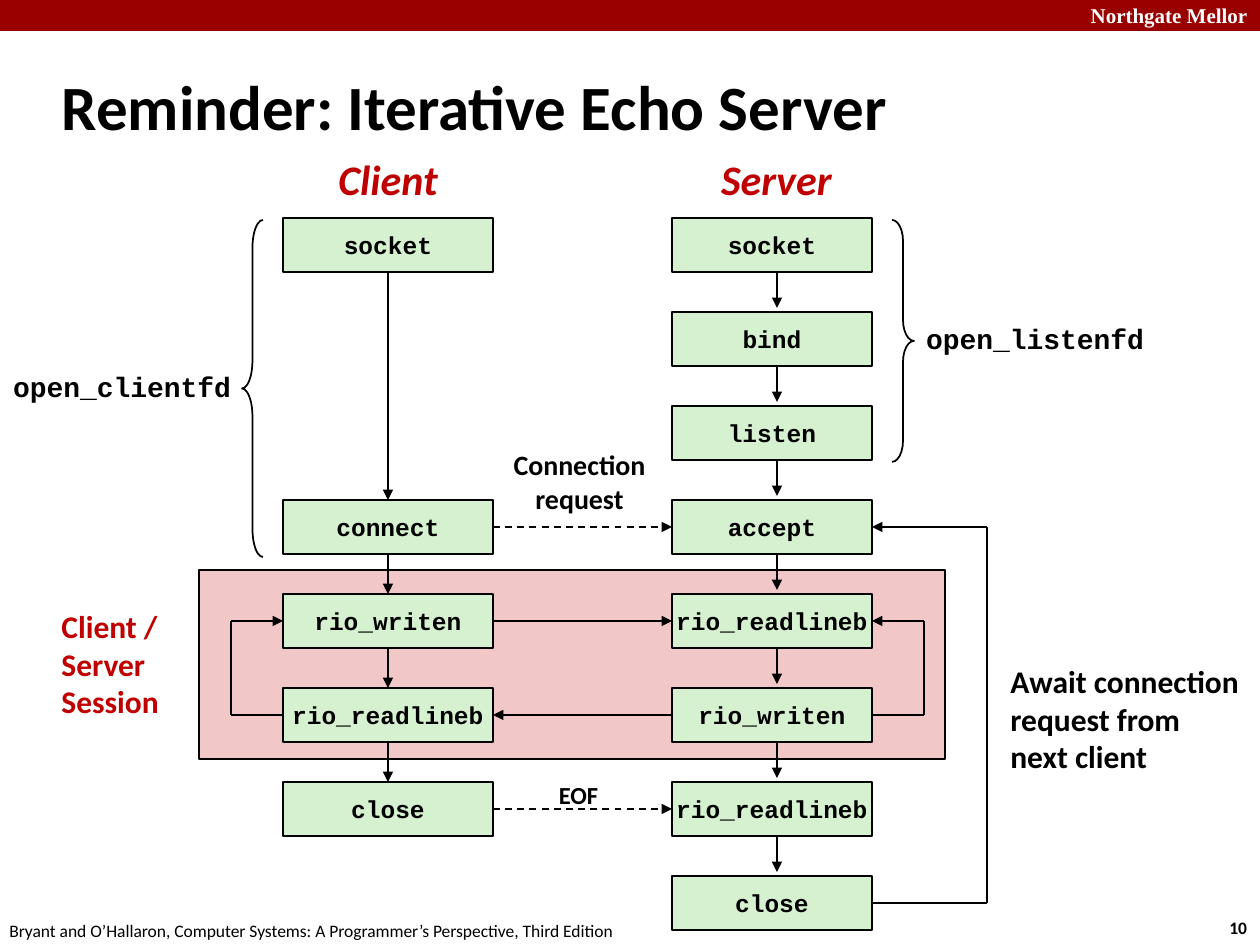
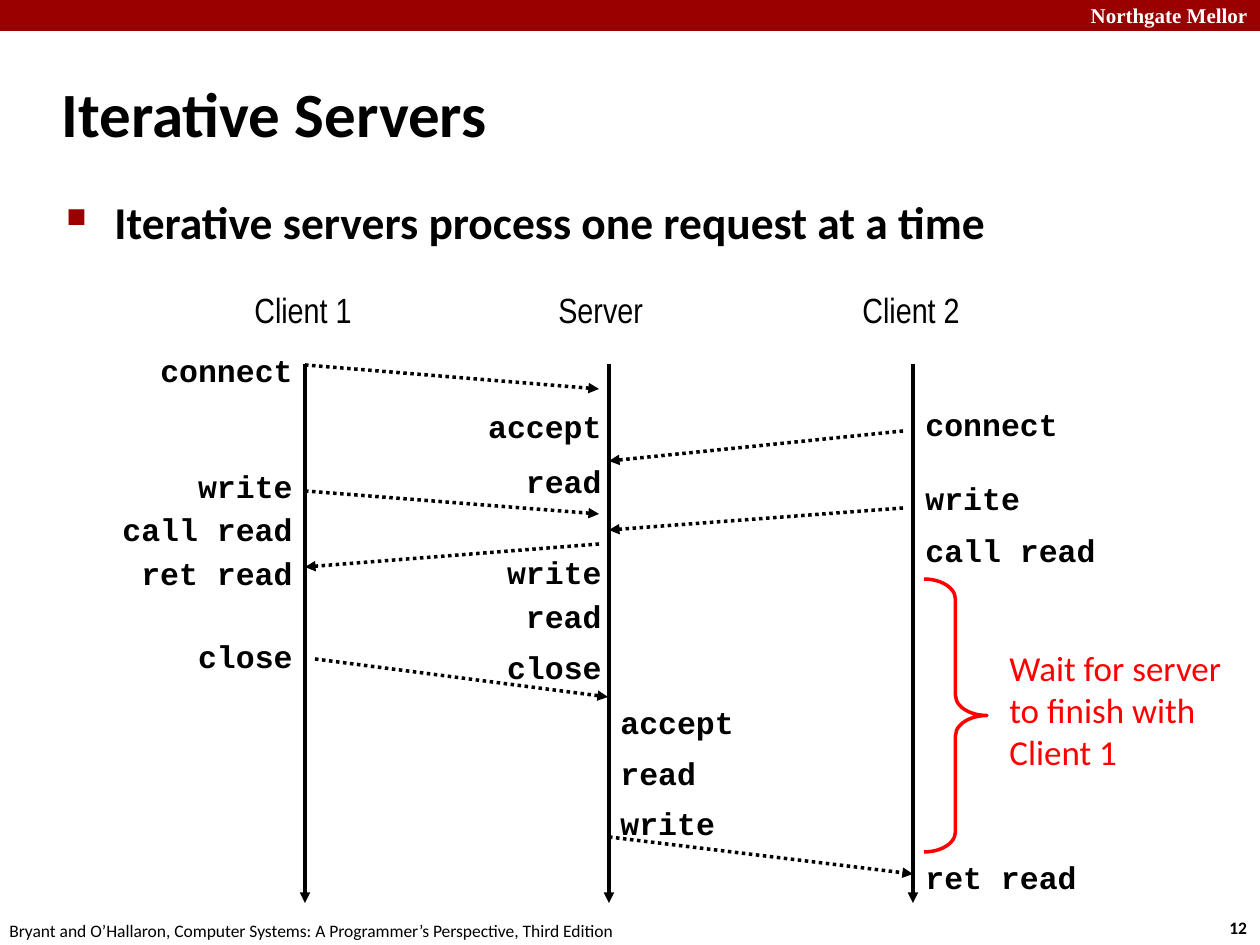
from lxml import etree
from pptx import Presentation
from pptx import util as u
from pptx.dml.color import RGBColor
from pptx.enum import dml, shapes, text
from pptx.oxml.ns import qn

SCALE = u.Inches(1) / 126
BLACK, WHITE, BAND, RED = "000000", "FFFFFF", "990000", "C00000"
GREEN, PINK, BRIGHT_RED = "D5F1CF", "F1C7C7", "FF0000"
SANS, MONO, SERIF, NARROW = "Calibri", "Courier New", "Times New Roman", "Arial Narrow"
LEFT, CENTER, RIGHT = text.PP_ALIGN.LEFT, text.PP_ALIGN.CENTER, text.PP_ALIGN.RIGHT
TOP, MIDDLE = text.MSO_ANCHOR.TOP, text.MSO_ANCHOR.MIDDLE
DASH, DOTS = dml.MSO_LINE.DASH, dml.MSO_LINE.ROUND_DOT
color = RGBColor.from_string


def add_box(page, at, lines=(), size=14, font=SANS, ink=BLACK, bold=True, italic=False,
            align=LEFT, anchor=TOP, wrap=False, kind=None, fill=None, line=None, width=1):
    """Adds a preset shape, a text box, or (page is a placeholder) formats the title."""
    place = [round(value * SCALE) for value in at]
    if not hasattr(page, "shapes"):
        box = page
        box.left, box.top, box.width, box.height = place
    elif kind is None:
        box = page.shapes.add_textbox(*place)
    else:
        box = page.shapes.add_shape(kind, *place)
        box.shadow.inherit = False
        if fill:
            box.fill.solid()
            box.fill.fore_color.rgb = color(fill)
        else:
            box.fill.background()
        if line:
            box.line.color.rgb = color(line)
            box.line.width = u.Pt(width)
        else:
            box.line.fill.background()
    frame = box.text_frame
    frame.auto_size = text.MSO_AUTO_SIZE.NONE
    frame.word_wrap = wrap
    frame.vertical_anchor = anchor
    for number, words in enumerate(lines):
        para = frame.add_paragraph() if number else frame.paragraphs[0]
        para.alignment = align
        span = para.add_run()
        span.text = words
        span.font.name, span.font.size = font, u.Pt(size)
        span.font.bold, span.font.italic = bold, italic
        span.font.color.rgb = color(ink)
    return box


def add_line(page, begin, end, width=1, dash=None, arrow=True):
    ends = [round(value * SCALE) for value in (*begin, *end)]
    line = page.shapes.add_connector(shapes.MSO_CONNECTOR.STRAIGHT, *ends)
    line.line.color.rgb = color(BLACK)
    line.line.width = u.Pt(width)
    if dash:
        line.line.dash_style = dash
    properties = line._element.spPr
    if arrow:
        etree.SubElement(properties.find(qn("a:ln")), qn("a:tailEnd"), type="triangle")
    etree.SubElement(properties, qn("a:effectLst"))
    return line


deck = Presentation()
deck.slide_width, deck.slide_height = u.Inches(10), u.Inches(7.5)
RECT = shapes.MSO_SHAPE.RECTANGLE

# Shared band, header, footer, number and title
pages = []
for title, title_top, number in (("Reminder: Iterative Echo Server", 53, "10"),
                                 ("Iterative Servers", 60, "12")):
    page = deck.slides.add_slide(deck.slide_layouts[5])
    add_box(page, (0, 0, 1260, 31), kind=RECT, fill=BAND)
    add_box(page, (1070, -4, 190, 38), ["Northgate Mellor"], 12, SERIF, WHITE, align=RIGHT)
    add_box(page, (1217, 911, 47, 34), [number], 10)
    add_box(page, (-3, 914, 640, 34),
            ["Bryant and O’Hallaron, Computer Systems: A Programmer’s Perspective, "
             "Third Edition"], 10, bold=False)
    add_box(page.shapes.title, (49, title_top, 1046, 105), [title], 36,
            anchor=MIDDLE, wrap=True)
    pages.append(page)
echo, timeline = pages

# Echo server: session area and column headings
add_box(echo, (199, 570, 746, 189), kind=RECT, fill=PINK, line=BLACK)
add_box(echo, (49, 600, 130, 127), ["Client / Server", "Session"], 18, ink=RED,
        anchor=MIDDLE, wrap=True)
for heading, left, width in (("Client", 325, 126), ("Server", 708, 137)):
    add_box(echo, (left, 147, width, 63), [heading], 24, ink=RED, italic=True,
            align=CENTER, anchor=MIDDLE)

# Call boxes on a grid of eight rows
FIRST_ROW, ROW_STEP, BOX_HEIGHT = 218, 94, 54
tops = [FIRST_ROW + ROW_STEP * row for row in range(8)]
middles = [top + BOX_HEIGHT // 2 for top in tops]
client_calls = {0: "socket", 3: "connect", 4: "rio_writen", 5: "rio_readlineb", 6: "close"}
server_calls = dict(enumerate(["socket", "bind", "listen", "accept", "rio_readlineb",
                               "rio_writen", "rio_readlineb", "close"]))
columns = []
for calls, left, width in ((client_calls, 283, 210), (server_calls, 672, 200)):
    columns.append({row: add_box(echo, (left, tops[row], width, BOX_HEIGHT), [call], 14, MONO,
                                 align=CENTER, anchor=MIDDLE, kind=RECT, fill=GREEN, line=BLACK)
                    for row, call in calls.items()})
client, server = columns

# Joined arrows: down the client column, then between the columns
client_rows = list(client)
links = [(client[upper], 2, client[lower], 0, None)
         for upper, lower in zip(client_rows, client_rows[1:])]
links += [(client[3], 3, server[3], 1, DASH), (client[4], 3, server[4], 1, None),
          (server[5], 1, client[5], 3, None), (client[6], 3, server[6], 1, DASH)]
for source, source_side, target, target_side, dash in links:
    line = add_line(echo, (0, 0), (0, 0), dash=dash)
    line.begin_connect(source, source_side)
    line.end_connect(target, target_side)

# Arrows down the server column, right of the box centres
for row in range(7):
    add_line(echo, (777, tops[row] + BOX_HEIGHT), (777, tops[row + 1] - 4))

# Return loops from a lower box to a higher one
for calls, lower, upper, edge, side, turn in ((server, 5, 4, 872, 3, 924),
                                              (client, 5, 4, 283, 1, 231),
                                              (server, 7, 3, 872, 3, 987)):
    start = add_line(echo, (edge, middles[lower]), (turn, middles[lower]), arrow=False)
    start.begin_connect(calls[lower], side)
    add_line(echo, (turn, middles[lower]), (turn, middles[upper]), arrow=False)
    finish = add_line(echo, (turn, middles[upper]), (edge, middles[upper]))
    finish.end_connect(calls[upper], side)

# Braces and notes
for kind, at, bend in ((shapes.MSO_SHAPE.RIGHT_BRACE, (892, 220, 22, 242), 0.96),
                       (shapes.MSO_SHAPE.LEFT_BRACE, (242, 220, 21, 337), 1.33)):
    brace = add_box(echo, at, kind=kind, line=BLACK)
    brace.adjustments[0] = bend
for lines, at, size, font, align in (
        (["open_listenfd"], (913, 315, 244, 47), 16, MONO, CENTER),
        (["open_clientfd"], (0, 363, 244, 47), 16, MONO, CENTER),
        (["Connection", "request"], (500, 441, 159, 81), 16, SANS, CENTER),
        (["EOF"], (546, 773, 65, 43), 14, SANS, CENTER),
        (["Await connection", "request from", "next client"],
         (998, 655, 256, 127), 18, SANS, LEFT)):
    add_box(echo, at, lines, size, font, align=align, anchor=MIDDLE)

# Iterative servers: bullet
body = add_box(timeline, (54, 188, 1089, 685),
               ["Iterative servers process one request at a time"], 26, wrap=True)
para = body.text_frame.paragraphs[0]
para.space_before = u.Pt(5)
bullet = para._p.get_or_add_pPr()
bullet.set("marL", str(round(48 * SCALE)))
bullet.set("indent", str(round(-48 * SCALE)))
bullet_color = etree.SubElement(bullet, qn("a:buClr"))
etree.SubElement(bullet_color, qn("a:srgbClr"), val=BAND)
etree.SubElement(bullet, qn("a:buSzPct"), val="60000")
etree.SubElement(bullet, qn("a:buChar"), char="■")

# Lifelines, with names spaced like them
for index, name in enumerate(("Client 1", "Server", "Client 2")):
    offset = 304 * index
    add_box(timeline, (242 + offset, 282, 124, 55), [name], 20, NARROW, bold=False)
    add_line(timeline, (305 + offset, 364), (305 + offset, 903), width=2)

# Messages
for begin, end in (((305, 365), (599, 389)), ((903, 431), (609, 461)),
                   ((305, 491), (599, 514)), ((903, 508), (609, 530)),
                   ((599, 544), (305, 567)), ((315, 659), (608, 697)),
                   ((609, 837), (913, 874))):
    add_line(timeline, begin, end, width=2, dash=DOTS)

# Calls beside the lifelines: edge of the text box, side it hangs from, tops
for edge, align, calls in (
        (305, RIGHT, {345: "connect", 461: "write", 504: "call read",
                      548: "ret read", 631: "close"}),
        (614, RIGHT, {401: "accept", 456: "read", 547: "write", 591: "read", 642: "close"}),
        (608, LEFT, {697: "accept", 748: "read", 798: "write"}),
        (913, LEFT, {399: "connect", 473: "write", 525: "call read", 852: "ret read"})):
    for top, call in calls.items():
        width = 19 * len(call) + 25
        left = edge - width if align == RIGHT else edge
        add_box(timeline, (left, top, width, 50), [call], 18, MONO, align=align)

# Waiting time of the second client
brace = add_box(timeline, (924, 579, 63, 273), kind=shapes.MSO_SHAPE.RIGHT_BRACE,
                line=BRIGHT_RED, width=2)
brace.adjustments[0] = 0.32
add_box(timeline, (997, 640, 263, 140), ["Wait for server to finish with Client 1"], 20,
        ink=BRIGHT_RED, bold=False, wrap=True)

deck.save("out.pptx")
